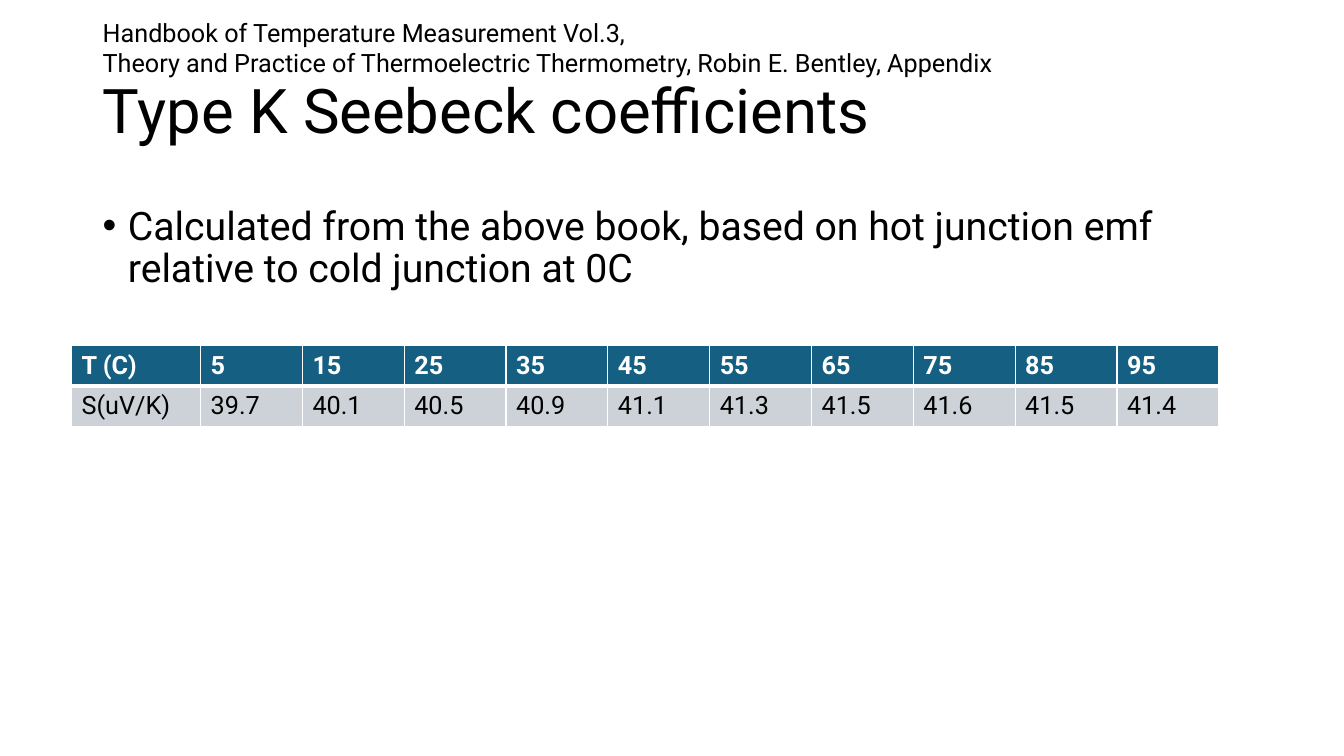
import pptx
import pptx.util
import pptx.dml.color
import pptx.enum.text
import pptx.oxml.ns
from lxml import etree

Inches = pptx.util.Inches
Pt = pptx.util.Pt
COLORS = {"text": "000000", "header": "156082", "values": "CCD2D8", "white": "FFFFFF"}


def add_run(paragraph, text, size, color="text", bold=False):
    run = paragraph.add_run()
    run.text = text
    run.font.name = "Roboto"
    run.font.size = Pt(size)
    run.font.bold = bold
    run.font.color.rgb = pptx.dml.color.RGBColor.from_string(COLORS[color])


def add_child(parent, tag, **attributes):
    return etree.SubElement(parent, pptx.oxml.ns.qn(tag), **attributes)


presentation = pptx.Presentation()
presentation.slide_width = Inches(13.33)
presentation.slide_height = Inches(7.5)
slide = presentation.slides.add_slide(presentation.slide_layouts[5])

title = slide.shapes.title
title.left, title.top = Inches(0.92), Inches(0.4)
title.width, title.height = Inches(11.5), Inches(1.45)
title.text_frame.auto_size = pptx.enum.text.MSO_AUTO_SIZE.NONE
title.text_frame.vertical_anchor = pptx.enum.text.MSO_ANCHOR.MIDDLE
heading = title.text_frame.paragraphs[0]
heading.alignment = pptx.enum.text.PP_ALIGN.LEFT
heading.line_spacing = 0.9
add_run(heading, "Type K Seebeck coefficients", 44)

explanation = slide.shapes.add_textbox(Inches(0.92), Inches(2), Inches(11.5), Inches(4.76))
explanation.text_frame.word_wrap = True
bullet = explanation.text_frame.paragraphs[0]
bullet_properties = bullet._p.get_or_add_pPr()
bullet_properties.set("marL", str(Inches(0.25)))
bullet_properties.set("indent", str(-Inches(0.25)))
add_child(bullet_properties, "a:buFont", typeface="Arial")
add_child(bullet_properties, "a:buChar", char="•")
bullet.line_spacing = 0.9
add_run(bullet, "Calculated from the above book, based on hot junction emf "
        "relative to cold junction at 0C", 28)

temperatures = range(5, 100, 10)
coefficients = [39.7, 40.1, 40.5, 40.9, 41.1, 41.3, 41.5, 41.6, 41.5, 41.4]
rows = [["T (C)", *temperatures], ["S(uV/K)", *coefficients]]

seebeck_table = slide.shapes.add_table(
    len(rows), len(rows[0]), Inches(0.71), Inches(3.43), Inches(11.38), Inches(0.8)).table
for index, column in enumerate(seebeck_table.columns):
    column.width = Inches(1.01 if index else 1.28)

for row_index, row in enumerate(rows):
    is_header = row_index == 0
    seebeck_table.rows[row_index].height = Inches(0.4)
    borders = {"L": 1, "R": 1, "T": 1 if is_header else 3, "B": 3 if is_header else 1}
    for column_index, value in enumerate(row):
        cell = seebeck_table.cell(row_index, column_index)
        add_run(cell.text_frame.paragraphs[0], str(value), 18,
                "white" if is_header else "text", is_header)
        cell_properties = cell._tc.get_or_add_tcPr()
        for side, width in borders.items():
            border = add_child(cell_properties, f"a:ln{side}", w=str(Pt(width)))
            add_child(add_child(border, "a:solidFill"), "a:srgbClr", val=COLORS["white"])
        cell.fill.solid()
        cell.fill.fore_color.rgb = pptx.dml.color.RGBColor.from_string(
            COLORS["header" if is_header else "values"])

reference = slide.shapes.add_textbox(Inches(0.92), Inches(0.12), Inches(11.81), Inches(0.71))
reference.text_frame.word_wrap = True
reference_lines = [
    "Handbook of Temperature Measurement Vol.3,",
    "Theory and Practice of Thermoelectric Thermometry, Robin E. Bentley, Appendix",
]
for index, line in enumerate(reference_lines):
    frame = reference.text_frame
    add_run(frame.add_paragraph() if index else frame.paragraphs[0], line, 18)

presentation.save("out.pptx")
